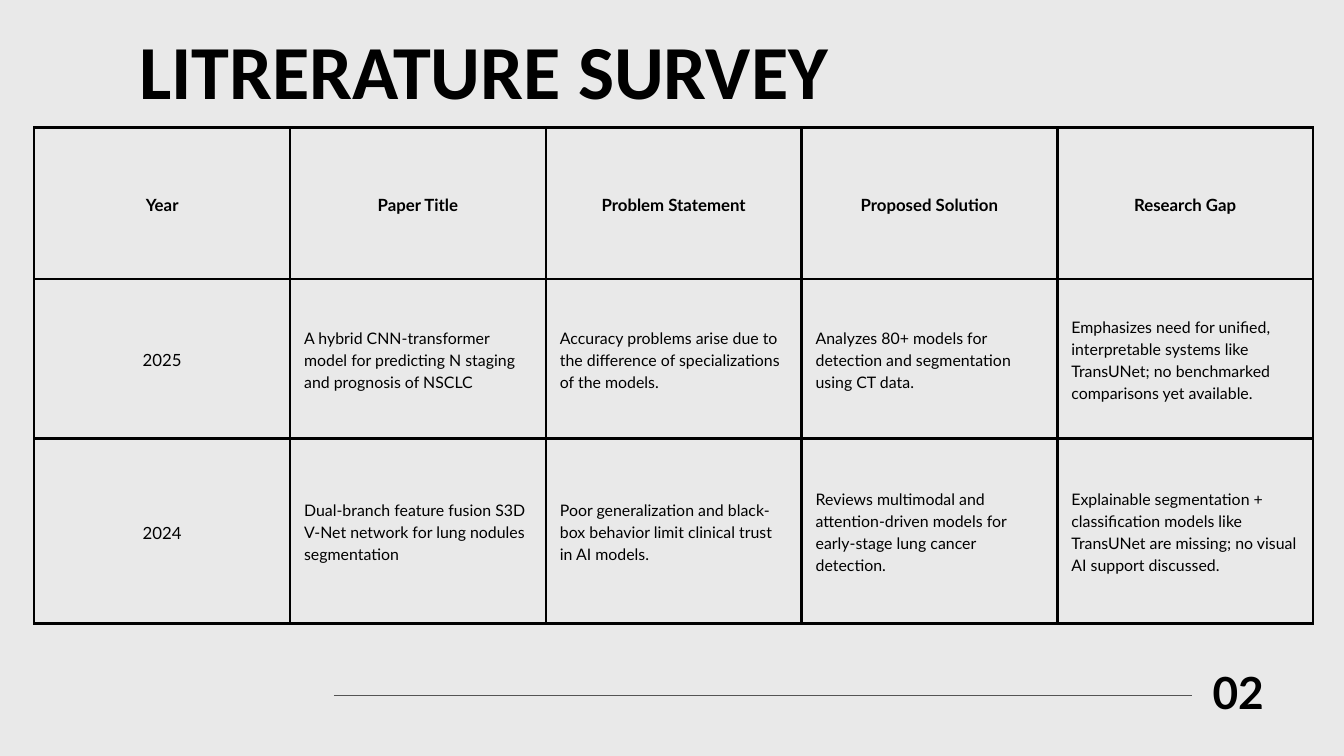
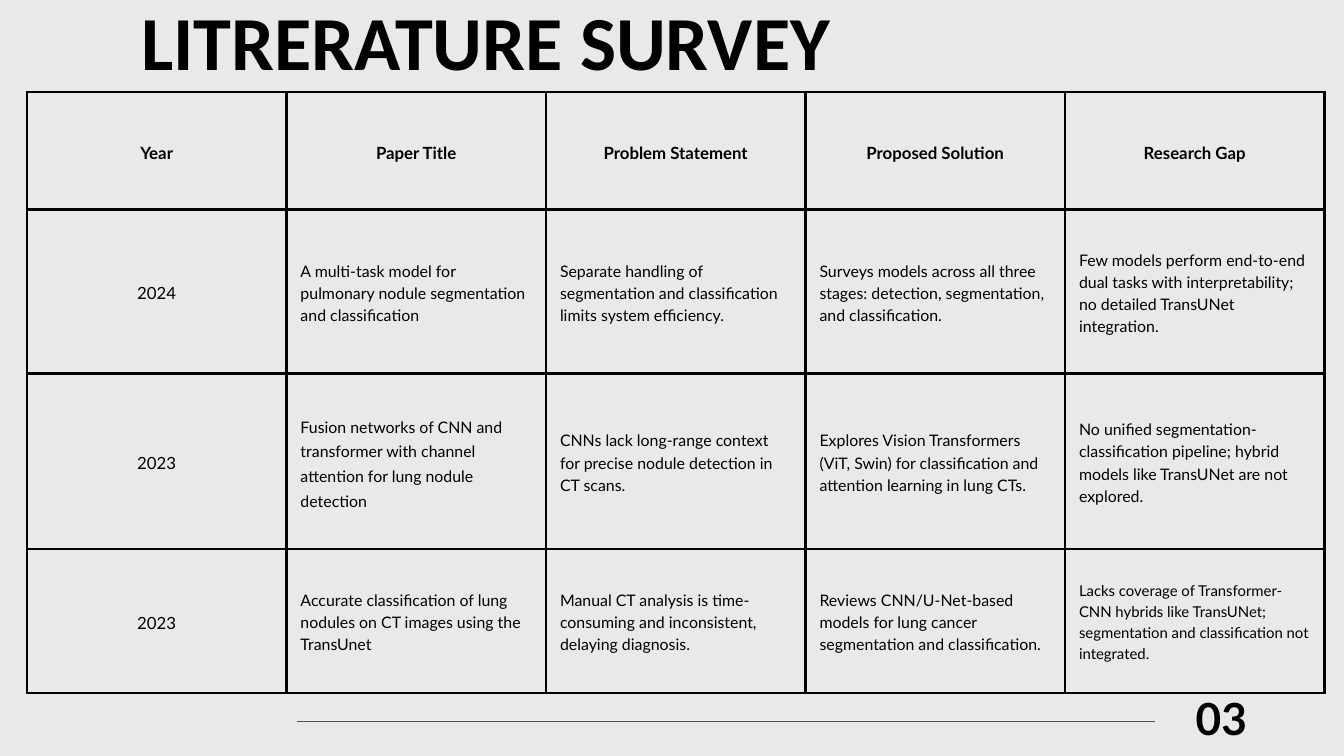
"""Build the two literature survey slides."""

from dataclasses import dataclass, field

from lxml.etree import SubElement
from pptx import Presentation
from pptx.dml.color import RGBColor
from pptx.enum.shapes import MSO_CONNECTOR
from pptx.enum.text import MSO_ANCHOR, MSO_AUTO_SIZE, PP_ALIGN
from pptx.oxml import parse_xml
from pptx.oxml.ns import nsdecls, qn
from pptx.slide import Slide
from pptx.table import _Cell
from pptx.text.text import TextFrame
from pptx.util import Inches, Length, Pt

SLIDE_WIDTH, SLIDE_HEIGHT = Inches(20), Inches(11.25)
GRID_COLUMNS = 100
PAPER_GREY = RGBColor(0xE9, 0xE9, 0xE9)
INK = RGBColor(0x00, 0x00, 0x00)
RULE_GREY = RGBColor(0x54, 0x54, 0x54)
LEADING = 1.4
CELL_INSET = Inches(0.21)
BORDER_WIDTH = Pt(3)
TITLE = "LITRERATURE SURVEY"
HEADINGS = ("Year", "Paper Title", "Problem Statement", "Proposed Solution", "Research Gap")


@dataclass(frozen=True)
class TextStyle:
    """Type settings; line spacing follows leading_size, or size when it is unset."""

    size: float
    font: str = "Lato"
    bold: bool = False
    align: PP_ALIGN = PP_ALIGN.CENTER
    leading_size: float | None = None


TITLE_STYLE = TextStyle(81.8, "Calibri", bold=True)
NUMBER_STYLE = TextStyle(47.4, bold=True)
HEADING_STYLE = TextStyle(18, bold=True)
YEAR_STYLE = TextStyle(18)
BODY_STYLE = TextStyle(17, align=PP_ALIGN.LEFT)
LOOSE_STYLE = TextStyle(17, align=PP_ALIGN.LEFT, leading_size=19)
SMALL_STYLE = TextStyle(16, align=PP_ALIGN.LEFT)


@dataclass(frozen=True)
class Box:
    """A rectangle in grid units."""

    left: float
    top: float
    width: float
    height: float

    def emu(self) -> tuple[Length, Length, Length, Length]:
        """Return left, top, width and height as lengths."""
        return grid(self.left), grid(self.top), grid(self.width), grid(self.height)


@dataclass(frozen=True)
class SurveyPage:
    """One page of the survey, with its places in grid units."""

    number: str
    title: Box
    table_left: float
    table_top: float
    column_width: float
    row_heights: tuple[float, ...]
    papers: tuple[tuple[str, ...], ...]
    rule_left: float
    rule_top: float
    number_box: Box
    special_styles: dict[tuple[int, int], TextStyle] = field(default_factory=dict)


RULE_WIDTH = 63.85
PAGES = (
    SurveyPage(
        number="02",
        title=Box(1.85, 0.55, 68.35, 8.45),
        table_left=2.55,
        table_top=9.5,
        column_width=19.03,
        row_heights=(11.25, 11.87, 13.77),
        papers=(
            ("2025",
             "A hybrid CNN-transformer model for predicting N staging and prognosis of NSCLC",
             "Accuracy problems arise due to the difference of specializations of the models.",
             "Analyzes 80+ models for detection and segmentation using CT data.",
             "Emphasizes need for unified, interpretable systems like TransUNet; "
             "no benchmarked comparisons yet available."),
            ("2024",
             "Dual-branch feature fusion S3D V-Net network for lung nodules segmentation",
             "Poor generalization and black-box behavior limit clinical trust in AI models.",
             "Reviews multimodal and attention-driven models for early-stage lung cancer detection.",
             "Explainable segmentation + classification models like TransUNet are missing; "
             "no visual AI support discussed."),
        ),
        rule_left=24.85,
        rule_top=51.75,
        number_box=Box(88.65, 48.85, 6.95, 4.85),
    ),
    SurveyPage(
        number="03",
        title=Box(2, -1.6, 68.35, 8.45),
        table_left=2,
        table_top=6.85,
        column_width=19.31,
        row_heights=(8.75, 12.2, 13.05, 10.7),
        papers=(
            ("2024",
             "A multi-task model for pulmonary nodule segmentation and classification",
             "Separate handling of segmentation and classification limits system efficiency.",
             "Surveys models across all three stages: detection, segmentation, and classification.",
             "Few models perform end-to-end dual tasks with interpretability; "
             "no detailed TransUNet integration."),
            ("2023",
             "Fusion networks of CNN and transformer with channel attention for lung nodule detection",
             "CNNs lack long-range context for precise nodule detection in CT scans.",
             "Explores Vision Transformers (ViT, Swin) for classification and "
             "attention learning in lung CTs.",
             "No unified segmentation-classification pipeline; "
             "hybrid models like TransUNet are not explored."),
            ("2023",
             "Accurate classification of lung nodules on CT images using the TransUnet",
             "Manual CT analysis is time-consuming and inconsistent, delaying diagnosis.",
             "Reviews CNN/U-Net-based models for lung cancer segmentation and classification.",
             "Lacks coverage of Transformer-CNN hybrids like TransUNet; "
             "segmentation and classification not integrated."),
        ),
        rule_left=22.1,
        rule_top=53.68,
        number_box=Box(87.4, 50.8, 6.95, 4.85),
        special_styles={(2, 1): LOOSE_STYLE, (3, 4): SMALL_STYLE},
    ),
)


def grid(units: float) -> Length:
    """Convert grid units, each a hundredth of the slide's width, to a length."""
    return Length(round(SLIDE_WIDTH * units / GRID_COLUMNS))


def write(frame: TextFrame, text: str, style: TextStyle) -> None:
    """Put one styled paragraph in a text frame."""
    frame.text = text
    paragraph = frame.paragraphs[0]
    paragraph.alignment = style.align
    paragraph.line_spacing = Pt(LEADING * (style.leading_size or style.size))
    paragraph.space_before = Pt(0)
    for run in paragraph.runs:
        run.font.name = style.font
        run.font.size = Pt(style.size)
        run.font.bold = style.bold
        run.font.color.rgb = INK


def strip_frame(frame: TextFrame) -> None:
    """Make a frame wrap from its top edge without insets."""
    frame.word_wrap = True
    frame.auto_size = MSO_AUTO_SIZE.NONE
    frame.vertical_anchor = MSO_ANCHOR.TOP
    frame.margin_left = frame.margin_right = frame.margin_top = frame.margin_bottom = 0


def outline_cell(cell: _Cell) -> None:
    """Draw all four borders of a cell."""
    properties = cell._tc.get_or_add_tcPr()
    for index, side in enumerate("LRTB"):
        properties.insert(index, parse_xml(
            f'<a:ln{side} {nsdecls("a")} w="{BORDER_WIDTH}"><a:solidFill>'
            f'<a:srgbClr val="{INK}"/></a:solidFill></a:ln{side}>'))


def add_title(slide: Slide, box: Box) -> None:
    """Place the heading in the title placeholder."""
    heading = slide.shapes.title
    heading.left, heading.top, heading.width, heading.height = box.emu()
    strip_frame(heading.text_frame)
    write(heading.text_frame, TITLE, TITLE_STYLE)


def add_survey(slide: Slide, page: SurveyPage) -> None:
    """Draw the table of papers."""
    rows = (HEADINGS, *page.papers)
    area = Box(page.table_left, page.table_top,
               page.column_width * len(HEADINGS), sum(page.row_heights))
    survey = slide.shapes.add_table(len(rows), len(HEADINGS), *area.emu()).table
    survey.first_row = survey.horz_banding = False
    for column in survey.columns:
        column.width = grid(page.column_width)
    for row_index, (entries, height) in enumerate(zip(rows, page.row_heights)):
        survey.rows[row_index].height = grid(height)
        for column_index, entry in enumerate(entries):
            cell = survey.cell(row_index, column_index)
            cell.fill.background()
            cell.vertical_anchor = MSO_ANCHOR.MIDDLE
            cell.margin_left = cell.margin_right = CELL_INSET
            cell.margin_top = cell.margin_bottom = CELL_INSET
            outline_cell(cell)
            usual = HEADING_STYLE if row_index == 0 else (
                YEAR_STYLE if column_index == 0 else BODY_STYLE)
            write(cell.text_frame, entry,
                  page.special_styles.get((row_index, column_index), usual))


def add_footer(slide: Slide, page: SurveyPage) -> None:
    """Draw the footer rule and the page number."""
    height = grid(page.rule_top)
    rule = slide.shapes.add_connector(
        MSO_CONNECTOR.STRAIGHT, grid(page.rule_left), height,
        grid(page.rule_left + RULE_WIDTH), height)
    rule.line.color.rgb = RULE_GREY
    rule.line.width = Pt(1)
    SubElement(rule._element.spPr, qn("a:effectLst"))
    page_number = slide.shapes.add_textbox(*page.number_box.emu()).text_frame
    strip_frame(page_number)
    write(page_number, page.number, NUMBER_STYLE)


def main() -> None:
    """Build and save the presentation."""
    presentation = Presentation()
    presentation.slide_width, presentation.slide_height = SLIDE_WIDTH, SLIDE_HEIGHT
    backdrop = presentation.slide_master.background.fill
    backdrop.solid()
    backdrop.fore_color.rgb = PAPER_GREY
    title_only = presentation.slide_layouts.get_by_name("Title Only")
    for page in PAGES:
        slide = presentation.slides.add_slide(title_only)
        add_survey(slide, page)
        add_title(slide, page.title)
        add_footer(slide, page)
    presentation.save("out.pptx")


if __name__ == "__main__":
    main()
